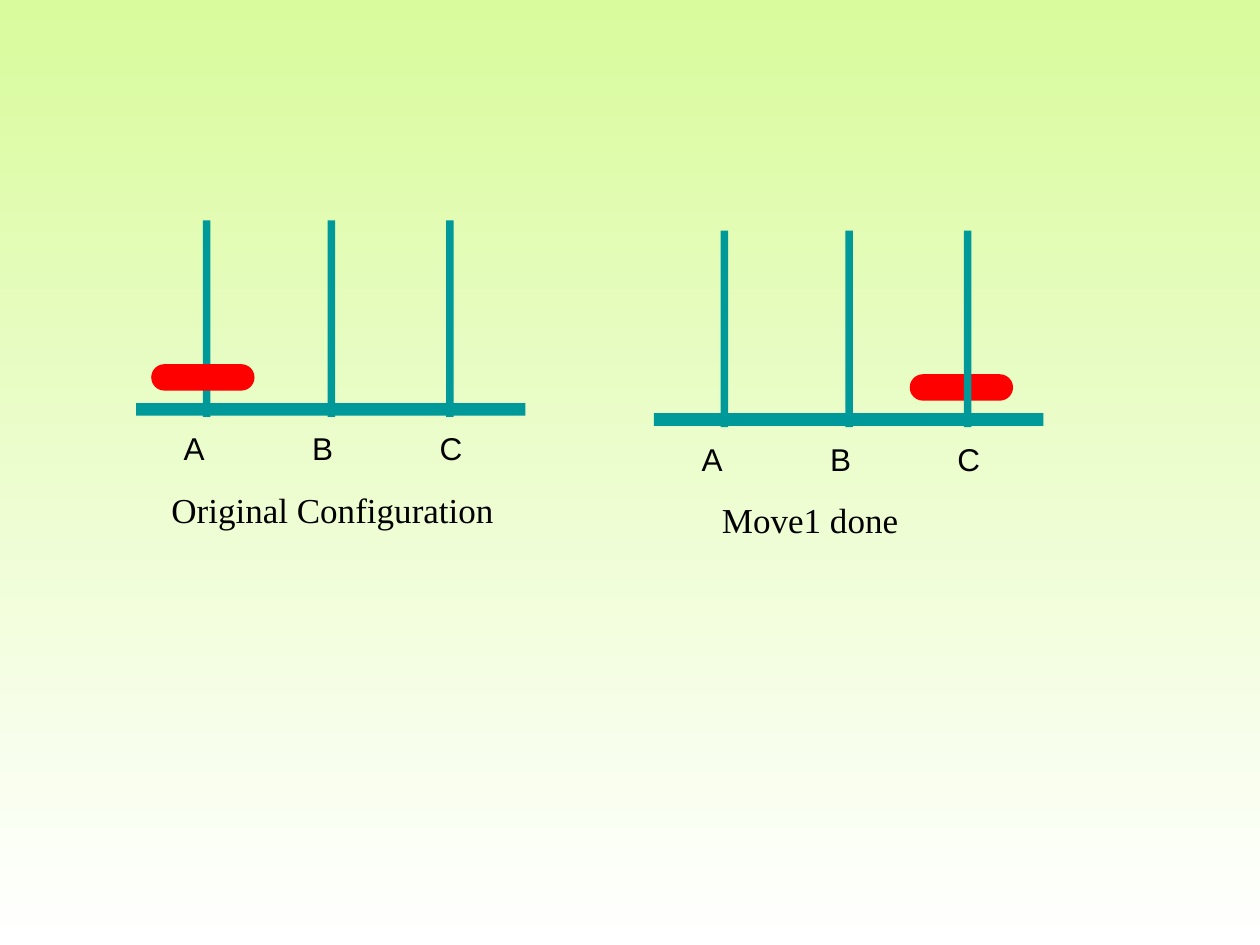
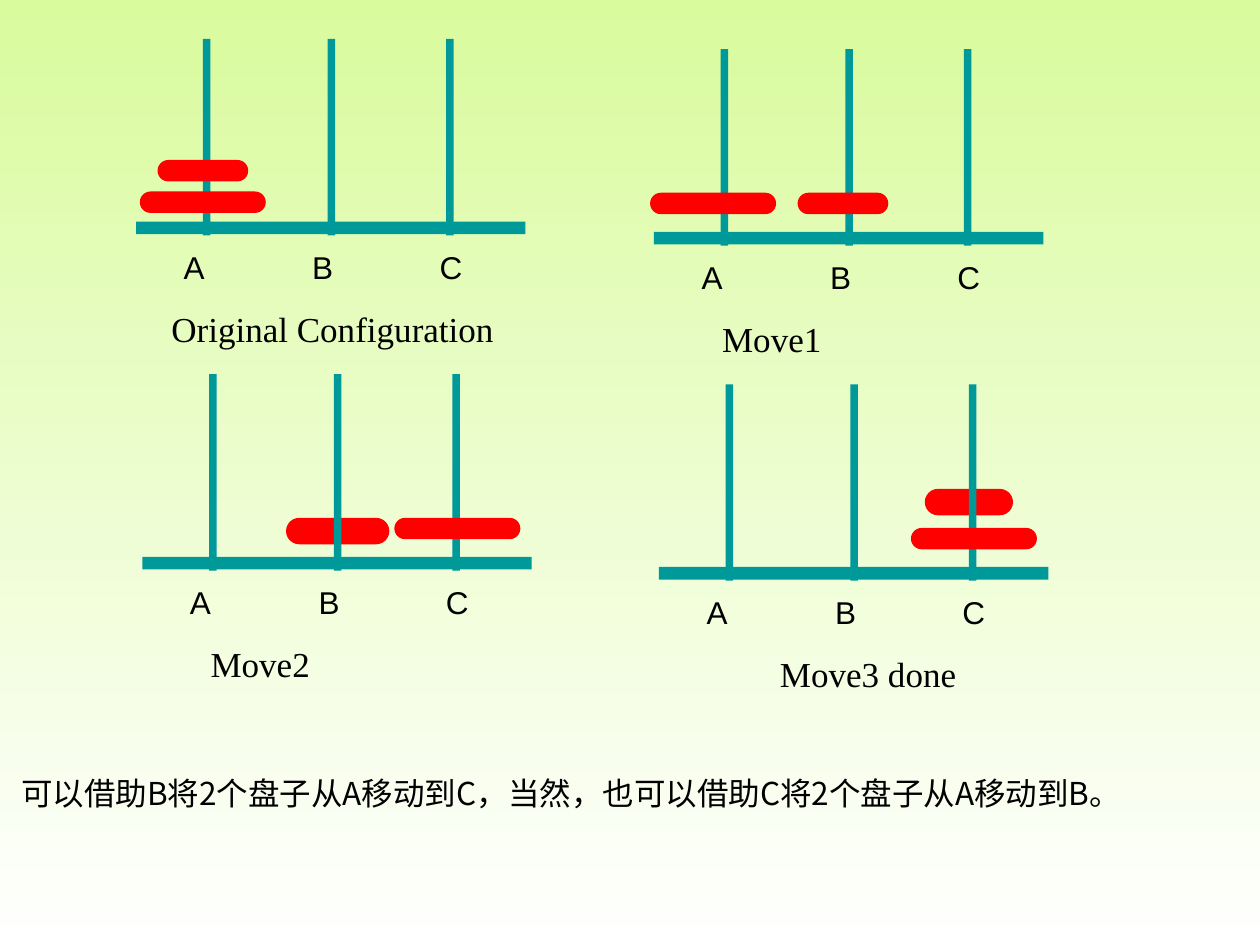
from dataclasses import dataclass

from lxml.etree import SubElement
from pptx import Presentation
from pptx.dml.color import RGBColor
from pptx.enum.shapes import MSO_SHAPE
from pptx.enum.text import MSO_AUTO_SIZE, PP_ALIGN
from pptx.oxml.ns import qn
from pptx.slide import Slide
from pptx.util import Inches, Pt


@dataclass(frozen=True)
class Theme:
    wood: RGBColor = RGBColor(0x00, 0x99, 0x99)
    disk: RGBColor = RGBColor(0xFF, 0x00, 0x00)
    ink: RGBColor = RGBColor(0x00, 0x00, 0x00)
    sky: RGBColor = RGBColor(0xD9, 0xFB, 0x9D)
    ground: RGBColor = RGBColor(0xFF, 0xFF, 0xFF)
    label_font: str = "Arial"
    caption_font: str = "Times New Roman"
    note_font: str = "Noto Sans CJK SC"
    label_size: int = 18
    caption_size: int = 20


@dataclass(frozen=True)
class Frame:
    left: float
    top: float
    width: float
    height: float

    def lengths(self) -> tuple[Inches, ...]:
        return tuple(Inches(value) for value in (self.left, self.top, self.width, self.height))


@dataclass(frozen=True)
class Disk:
    frame: Frame
    behind_peg: bool = False


@dataclass(frozen=True)
class Peg:
    name: str
    offset: float
    label_offset: float
    label_width: float


@dataclass(frozen=True)
class Tower:
    left: float
    top: float
    caption: str
    caption_left: float
    caption_width: float
    disks: tuple[Disk, ...]


THEME = Theme()
PEGS = (
    Peg("A", 0.53, 0.28, 0.36),
    Peg("B", 1.52, 1.3, 0.36),
    Peg("C", 2.46, 2.31, 0.38),
)

ONE_DISK = (
    Tower(1.08, 1.75, "Original Configuration", 1.26, 2.76,
          (Disk(Frame(1.2, 2.89, 0.82, 0.21)),)),
    Tower(5.19, 1.83, "Move1 done", 5.63, 1.6,
          (Disk(Frame(7.22, 2.97, 0.82, 0.21), behind_peg=True),)),
)
TWO_DISKS = (
    Tower(1.08, 0.31, "Original Configuration", 1.26, 2.76,
          (Disk(Frame(1.11, 1.52, 1, 0.17)), Disk(Frame(1.25, 1.27, 0.72, 0.17)))),
    Tower(5.19, 0.39, "Move1", 5.63, 0.99,
          (Disk(Frame(6.33, 1.53, 0.72, 0.17)), Disk(Frame(5.16, 1.53, 1, 0.17)))),
    Tower(1.13, 2.97, "Move2", 1.57, 0.99,
          (Disk(Frame(2.27, 4.11, 0.82, 0.21), behind_peg=True),
           Disk(Frame(3.13, 4.11, 1, 0.17)))),
    Tower(5.23, 3.05, "Move3 done", 6.09, 1.6,
          (Disk(Frame(7.34, 3.88, 0.7, 0.21), behind_peg=True),
           Disk(Frame(7.23, 4.19, 1, 0.17)))),
)
NOTE = "可以借助B将2个盘子从A移动到C，当然，也可以借助C将2个盘子从A移动到B。"


def add_block(page: Slide, frame: Frame, color: RGBColor,
              kind: MSO_SHAPE = MSO_SHAPE.RECTANGLE) -> None:
    block = page.shapes.add_shape(kind, *frame.lengths())
    block.shadow.inherit = False
    block.fill.solid()
    block.fill.fore_color.rgb = color
    block.line.fill.background()
    if kind == MSO_SHAPE.ROUNDED_RECTANGLE:
        block.adjustments[0] = 0.5


def add_text(page: Slide, frame: Frame, text: str, font: str, size: int,
             align: PP_ALIGN = PP_ALIGN.LEFT) -> None:
    box = page.shapes.add_textbox(*frame.lengths())
    box.text_frame.word_wrap = False
    box.text_frame.auto_size = MSO_AUTO_SIZE.SHAPE_TO_FIT_TEXT
    para = box.text_frame.paragraphs[0]
    para.alignment = align
    span = para.add_run()
    span.text = text
    for name, value in {"name": font, "size": Pt(size)}.items():
        setattr(span.font, name, value)
    span.font.color.rgb = THEME.ink
    SubElement(span._r.get_or_add_rPr(), qn("a:ea"), typeface=font)


def add_disks(page: Slide, tower: Tower, behind_peg: bool) -> None:
    for disk in tower.disks:
        if disk.behind_peg == behind_peg:
            add_block(page, disk.frame, THEME.disk, MSO_SHAPE.ROUNDED_RECTANGLE)


def add_tower(page: Slide, tower: Tower) -> None:
    add_block(page, Frame(tower.left, tower.top + 1.45, 3.09, 0.1), THEME.wood)
    add_disks(page, tower, behind_peg=True)
    for peg in PEGS:
        add_block(page, Frame(tower.left + peg.offset, tower.top, 0.06, 1.56), THEME.wood)
    add_disks(page, tower, behind_peg=False)
    add_text(page, Frame(tower.caption_left, tower.top + 2.08, tower.caption_width, 0.44),
             tower.caption, THEME.caption_font, THEME.caption_size, PP_ALIGN.CENTER)
    for peg in PEGS:
        label = Frame(tower.left + peg.label_offset, tower.top + 1.61, peg.label_width, 0.4)
        add_text(page, label, peg.name, THEME.label_font, THEME.label_size)


def add_page(deck: Presentation, towers: tuple[Tower, ...]) -> Slide:
    page = deck.slides.add_slide(deck.slide_layouts[6])
    fill = page.background.fill
    fill.gradient()
    fill.gradient_angle = 270
    for position, (stop, color) in enumerate(zip(fill.gradient_stops, (THEME.sky, THEME.ground))):
        stop.position = position
        stop.color.rgb = color
    for tower in towers:
        add_tower(page, tower)
    return page


def main() -> None:
    deck = Presentation()
    deck.slide_width, deck.slide_height = Inches(10), Inches(7.5)
    add_page(deck, ONE_DISK)
    page = add_page(deck, TWO_DISKS)
    add_text(page, Frame(0.07, 6.09, 9.9, 0.4), NOTE, THEME.note_font, THEME.label_size)
    deck.save("out.pptx")


if __name__ == "__main__":
    main()
